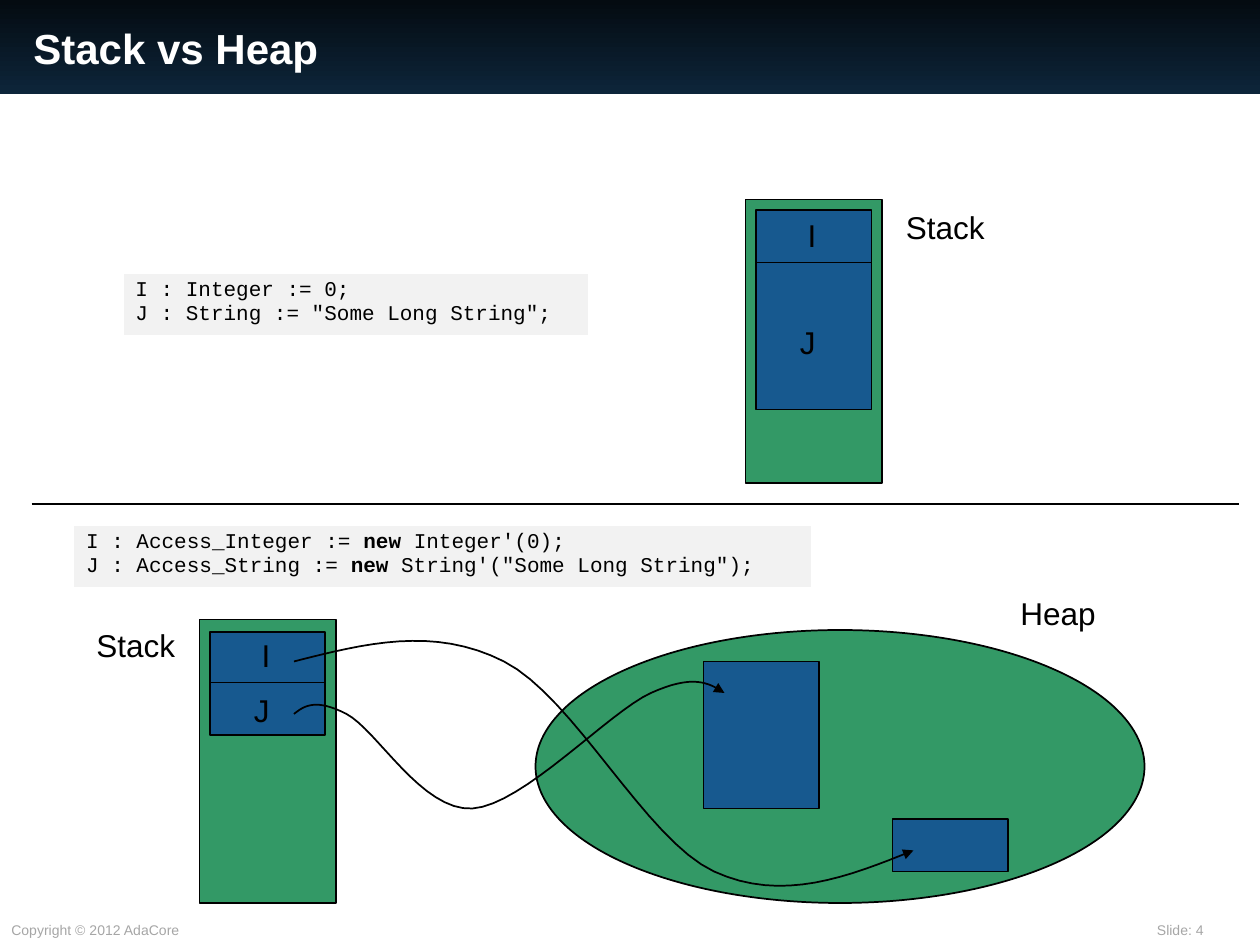
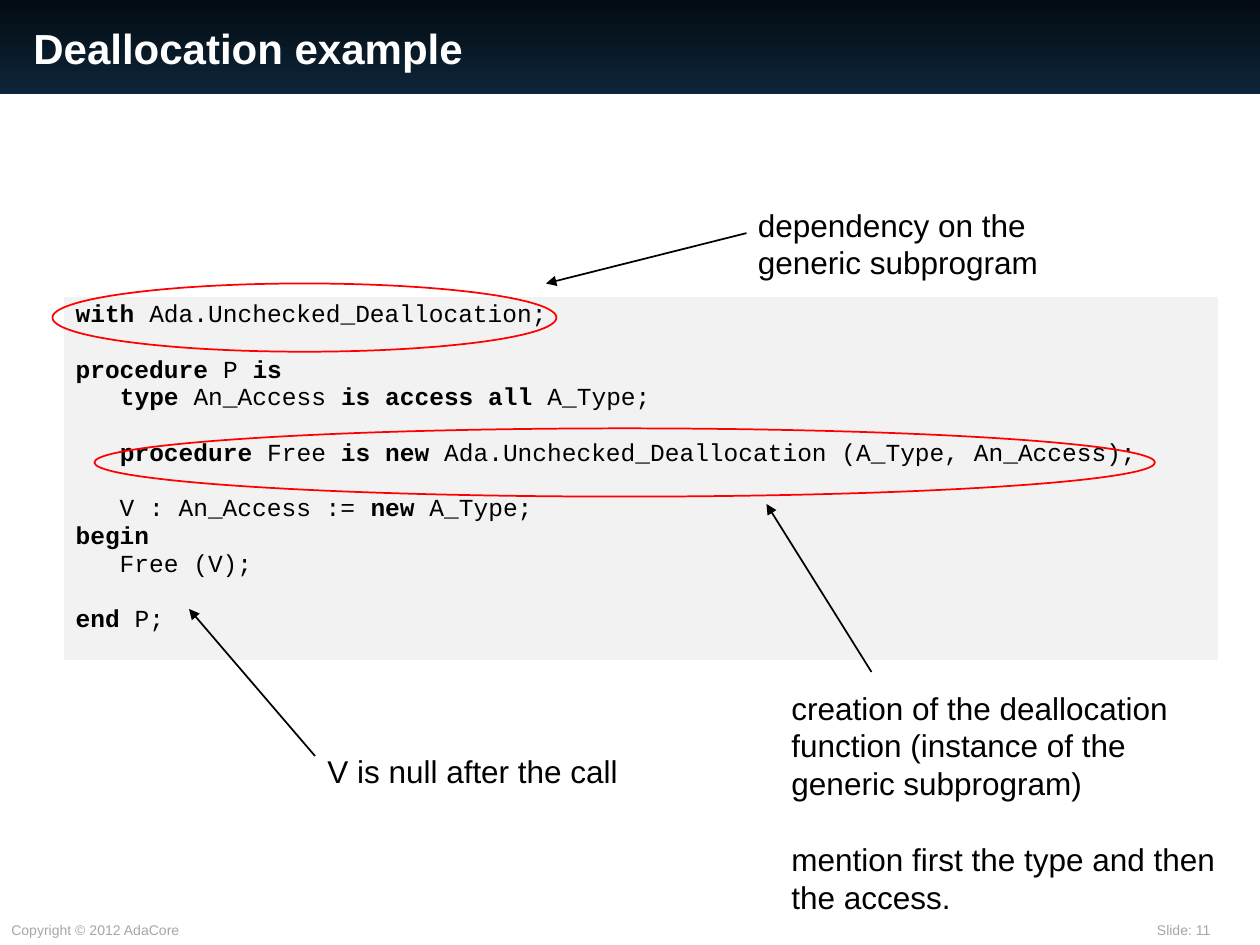
from dataclasses import dataclass

from lxml import etree
from pptx import Presentation
from pptx import util as u
from pptx.dml.color import RGBColor
from pptx.enum import shapes, text
from pptx.oxml import ns

# Grid: 120 columns by 90 rows, each cell a twelfth of an inch
COLUMNS, ROWS = 120, 90
CELL = u.Inches(10) // COLUMNS

BLACK = RGBColor(0x00, 0x00, 0x00)
WHITE = RGBColor(0xFF, 0xFF, 0xFF)
RED = RGBColor(0xFF, 0x00, 0x00)
GREEN = RGBColor(0x33, 0x99, 0x66)
BLUE = RGBColor(0x17, 0x59, 0x8F)
FOOTER_GREY = RGBColor(0xA6, 0xA6, 0xA6)
CODE_GREY = RGBColor(0xF2, 0xF2, 0xF2)
BAND_TOP = RGBColor(0x04, 0x0B, 0x11)
BAND_BOTTOM = RGBColor(0x0D, 0x25, 0x3A)

LABEL = {"name": "Arial", "size": u.Pt(18)}
TITLE = {"name": "Arial", "size": u.Pt(24), "bold": True}
FOOTER = {"name": "Arial", "size": u.Pt(8)}
LABEL_LEADING = 1.2
CODE_LEADING = 1.13
BORDERS = {"lnL": 0.45, "lnR": 0.45, "lnT": 0.45, "lnB": 1.47}


@dataclass
class Area:
    col: float
    row: float
    cols: float
    rows: float

    def lengths(self) -> list[int]:
        return [grid(v) for v in (self.col, self.row, self.cols, self.rows)]


@dataclass
class Stack:
    col: float
    row: float
    variables: Area
    dividers: tuple[float, float]
    i_row: float
    j_row: float
    name: Area


@dataclass
class Callout:
    lines: str
    area: Area
    arrow: tuple[float, float, float, float]


@dataclass
class Pointer:
    start: tuple[float, float]
    curves: list[tuple[float, ...]]


def grid(value: float) -> int:
    return round(value * CELL)


# Drawing helpers
def style_line(shape, color: RGBColor = BLACK, arrow: bool = False) -> None:
    shape.line.color.rgb = color
    shape.line.width = u.Pt(1)
    if arrow:
        line = shape.element.spPr.find(ns.qn("a:ln"))
        etree.SubElement(line, ns.qn("a:tailEnd"), type="triangle")


def add_figure(page, kind, area: Area, fill=None, line: RGBColor = BLACK):
    shape = page.shapes.add_shape(kind, *area.lengths())
    shape.shadow.inherit = False
    if fill is None:
        shape.fill.background()
    else:
        shape.fill.solid()
        shape.fill.fore_color.rgb = fill
    style_line(shape, line)
    return shape


def add_line(page, ends: tuple[float, ...], arrow: bool = False) -> None:
    line = page.shapes.add_connector(shapes.MSO_CONNECTOR.STRAIGHT, *map(grid, ends))
    style_line(line, arrow=arrow)
    etree.SubElement(line.element.spPr, ns.qn("a:effectLst"))


def add_pointer(page, pointer: Pointer, steps: int = 16) -> None:
    here, points = pointer.start, []
    for curve in pointer.curves:
        corners = [here, curve[:2], curve[2:4], curve[4:]]
        for step in range(1, steps + 1):
            t = step / steps
            weights = ((1 - t) ** 3, 3 * t * (1 - t) ** 2, 3 * t * t * (1 - t), t ** 3)
            points.append(tuple(
                grid(sum(w * c[axis] for w, c in zip(weights, corners)))
                for axis in (0, 1)))
        here = curve[4:]
    builder = page.shapes.build_freeform(*map(grid, pointer.start))
    builder.add_line_segments(points, close=False)
    shape = builder.convert_to_shape()
    shape.shadow.inherit = False
    shape.fill.background()
    style_line(shape, arrow=True)


def write(frame, lines: str, style: dict, color: RGBColor, leading=None,
          gap: float = LABEL_LEADING) -> None:
    """Asterisks switch bold on and off; an empty line becomes space before."""
    started = blank = False
    for line in lines.split("\n"):
        if not line:
            blank = True
            continue
        para = frame.add_paragraph() if started else frame.paragraphs[0]
        if blank:
            para.space_before = u.Pt(round(gap * style["size"].pt, 1))
        if leading:
            para.line_spacing = u.Pt(round(leading * style["size"].pt, 1))
        for index, part in enumerate(line.split("*")):
            if part:
                span = para.add_run()
                span.text = part
                span.font.bold = index % 2 == 1
                span.font.color.rgb = color
                for key, value in style.items():
                    setattr(span.font, key, value)
        started, blank = True, False


def add_label(page, lines: str, area: Area, style: dict = LABEL,
              color: RGBColor = BLACK, anchor=text.MSO_ANCHOR.TOP) -> None:
    box = page.shapes.add_textbox(*area.lengths())
    box.text_frame.word_wrap = True
    box.text_frame.margin_right = 0  # room for the longest line
    box.text_frame.vertical_anchor = anchor
    write(box.text_frame, lines, style, color, leading=LABEL_LEADING)


def add_code(page, lines: str, area: Area, size: int) -> None:
    table = page.shapes.add_table(1, 1, *area.lengths()).table
    table.first_row = table.horz_banding = False
    cell = table.cell(0, 0)
    properties = cell._tc.get_or_add_tcPr()
    for side, width in BORDERS.items():
        line = etree.SubElement(properties, ns.qn(f"a:{side}"), w=str(u.Pt(width)))
        fill = etree.SubElement(line, ns.qn("a:solidFill"))
        etree.SubElement(fill, ns.qn("a:srgbClr"), val=str(WHITE))
    cell.fill.solid()
    cell.fill.fore_color.rgb = CODE_GREY
    style = {"name": "Courier New", "size": u.Pt(size)}
    write(cell.text_frame, lines, style, BLACK, gap=CODE_LEADING)


def add_stack(page, stack: Stack) -> None:
    rect = shapes.MSO_SHAPE.RECTANGLE
    add_figure(page, rect, Area(stack.col, stack.row, 13, 27), GREEN)
    add_figure(page, rect, stack.variables, BLUE)
    left = stack.variables.col
    for row in stack.dividers:
        add_line(page, (left, row, left + stack.variables.cols, row))
    add_label(page, "I", Area(left + 3.74, stack.i_row, 3.24, 4.8))
    add_label(page, "J", Area(left + 3, stack.j_row, 3.84, 4.8))
    add_label(page, "Stack", stack.name)


def add_page(deck, title: str, number: int):
    page = deck.slides.add_slide(deck.slide_layouts[6])
    add_label(page, f"Slide: {number}", Area(109, 87.15, 10.9, 2.85), FOOTER, FOOTER_GREY)
    add_label(page, "Copyright © 2012 AdaCore", Area(-0.1, 87.15, 18.85, 2.85),
              FOOTER, FOOTER_GREY)
    band = add_figure(page, shapes.MSO_SHAPE.RECTANGLE, Area(-0.1, 0, 120.1, 9))
    band.line.fill.background()
    band.fill.gradient()
    band.fill.gradient_angle = 270
    for stop, color, place in zip(band.fill.gradient_stops, (BAND_TOP, BAND_BOTTOM), (0, 1)):
        stop.color.rgb = color
        stop.position = place
    add_label(page, title, Area(2, 1, 105, 7), TITLE, WHITE, text.MSO_ANCHOR.MIDDLE)
    return page


# Content of the stack and heap slide
STACKS = [
    Stack(71, 19, Area(72, 20, 11, 19), (25, 39), 20, 30.2, Area(85.1, 19.2, 9.85, 4.8)),
    Stack(19, 59, Area(20, 60.2, 11, 9.8), (65, 70), 60, 65.2, Area(8, 59, 9.85, 4.8)),
]
HEAP_BLOCKS = [Area(85, 78, 11, 5), Area(67, 63, 11, 14)]
POINTERS = [
    Pointer((28, 63), [(34.7, 61.3, 41.3, 59.6, 48, 63),
                       (54.7, 66.4, 61.5, 80, 68, 83),
                       (74.5, 86, 80.8, 83.5, 87, 81)]),
    Pointer((28, 68), [(29, 67.2, 30.1, 66.5, 33, 68),
                       (35.9, 69.5, 40.2, 77.3, 45, 77),
                       (49.8, 76.7, 58, 67.8, 62, 66),
                       (66, 64.2, 67.5, 65, 69, 66)]),
]
STACK_CODE = """I : Integer := 0;
J : String := "Some Long String";"""
HEAP_CODE = """I : Access_Integer := *new* Integer'(0);
J : Access_String := *new* String'("Some Long String");"""

# Content of the deallocation slide
FREE_CODE = """*with* Ada.Unchecked_Deallocation;

*procedure* P *is*
   *type* An_Access *is access all* A_Type;

   *procedure* Free *is new* Ada.Unchecked_Deallocation (A_Type, An_Access);

   V : An_Access := *new* A_Type;
*begin*
   Free (V);

*end* P;"""
HIGHLIGHTS = [Area(5, 27, 48, 6.5), Area(9, 40.8, 101, 6.5)]
CALLOUTS = [
    Callout("dependency on the\ngeneric subprogram",
            Area(71, 19, 29, 8.4), (71.1, 22.2, 52, 27)),
    Callout("creation of the deallocation\nfunction (instance of the\ngeneric subprogram)\n\n"
            "mention first the type and then\nthe access.",
            Area(74.2, 65, 42.7, 22.8), (83, 64, 73, 48)),
    Callout("V is null after the call",
            Area(30, 71, 30, 4.8), (30, 72, 18, 58)),
]


def build_stack_page(deck) -> None:
    page = add_page(deck, "Stack vs Heap", 4)
    add_figure(page, shapes.MSO_SHAPE.OVAL, Area(51, 60, 58, 26), GREEN)
    add_line(page, (3, 48, 118, 48))
    for stack in STACKS:
        add_stack(page, stack)
    for block in HEAP_BLOCKS:
        add_figure(page, shapes.MSO_SHAPE.RECTANGLE, block, BLUE)
    for pointer in POINTERS:
        add_pointer(page, pointer)
    add_label(page, "Heap", Area(96, 56, 9.6, 4.8))
    add_code(page, STACK_CODE, Area(11.7, 26, 44.3, 6), 12)
    add_code(page, HEAP_CODE, Area(7, 50, 70.3, 6), 12)


def build_deallocation_page(deck) -> None:
    page = add_page(deck, "Deallocation example", 11)
    add_code(page, FREE_CODE, Area(6, 28.2, 110, 34.8), 14)
    for highlight in HIGHLIGHTS:
        add_figure(page, shapes.MSO_SHAPE.OVAL, highlight, line=RED)
    for callout in CALLOUTS:
        add_line(page, callout.arrow, arrow=True)
        add_label(page, callout.lines, callout.area)


def main() -> None:
    deck = Presentation()
    deck.slide_width, deck.slide_height = COLUMNS * CELL, ROWS * CELL
    build_stack_page(deck)
    build_deallocation_page(deck)
    deck.save("out.pptx")


if __name__ == "__main__":
    main()
